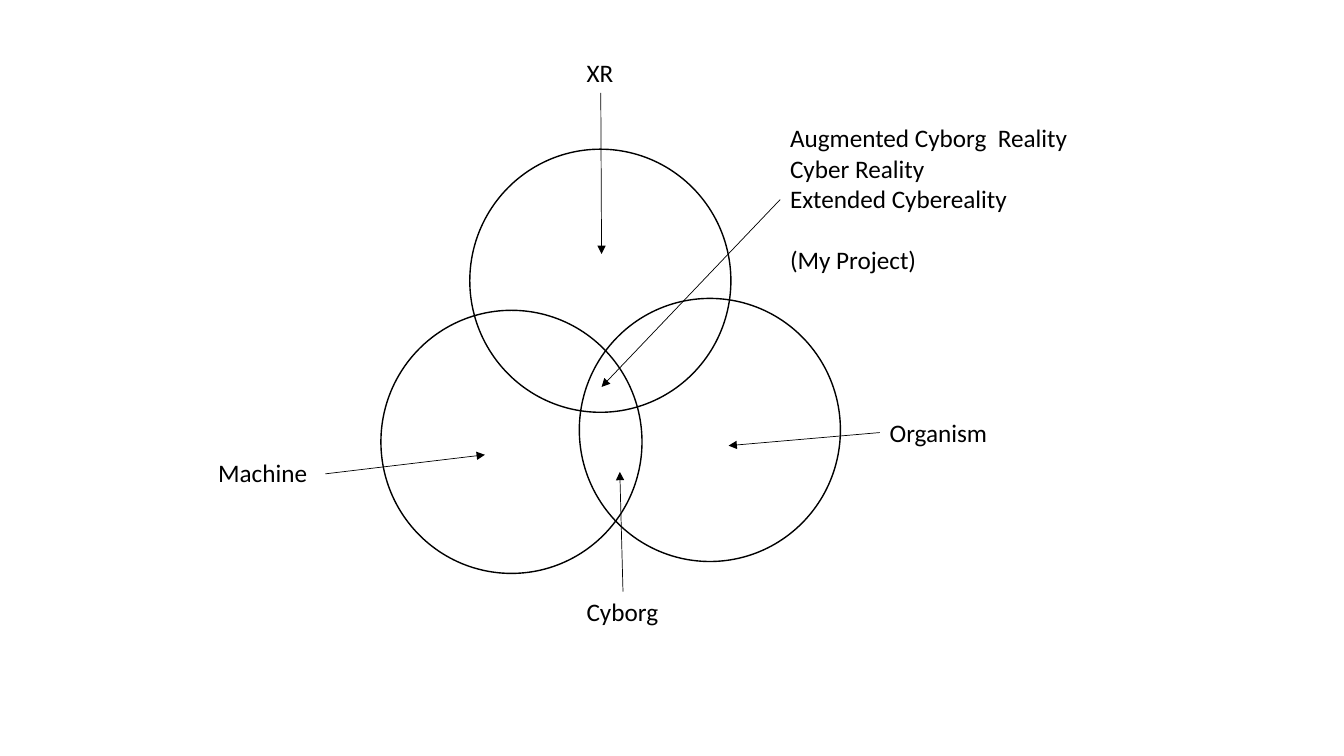
import pptx
import pptx.dml.color
import pptx.enum.shapes
import pptx.enum.text
import pptx.util
from lxml import etree
from pptx.oxml.ns import qn

Cm = pptx.util.Cm
Pt = pptx.util.Pt
ALIGN = pptx.enum.text.PP_ALIGN
BLACK = pptx.dml.color.RGBColor(0, 0, 0)

prs = pptx.Presentation()
prs.slide_width = Cm(33.87)
prs.slide_height = Cm(19.05)
s = prs.slides.add_slide(prs.slide_layouts[6])


def add_label(text, left, top, width, height=1.02, align=ALIGN.CENTER):
    sp = s.shapes.add_textbox(Cm(left), Cm(top), Cm(width), Cm(height))
    tf = sp.text_frame
    tf.word_wrap = True
    tf.auto_size = pptx.enum.text.MSO_AUTO_SIZE.SHAPE_TO_FIT_TEXT
    tf.text = text
    for p in tf.paragraphs:
        p.alignment = align
        for r in p.runs:
            r.font.name = "Calibri"
            r.font.size = Pt(18)
            r.font.color.rgb = BLACK
    return tf


# Overlapping circles: machine, organism, XR
for left, top in [(9.6, 7.82), (14.6, 7.52), (11.84, 3.76)]:
    sp = s.shapes.add_shape(pptx.enum.shapes.MSO_SHAPE.OVAL,
                            Cm(left), Cm(top), Cm(6.58), Cm(6.63))
    sp.shadow.inherit = False
    sp.fill.background()
    sp.line.color.rgb = BLACK
    sp.line.width = Pt(1)

# Labels
add_label("Machine", 5.03, 11.4, 3.18)
add_label("Organism", 22.17, 10.39, 4.19, align=ALIGN.LEFT)
add_label("XR", 14.22, 1.32, 1.8)
add_label("Cyborg", 14.4, 14.91, 2.57)
tf = add_label("Augmented Cyborg  Reality\nCyber Reality\nExtended Cybereality\n(My Project)",
               19.66, 2.97, 9.09, 4.11, ALIGN.LEFT)
tf.paragraphs[-1].space_before = Pt(22)

# Arrows from the labels into the circles
arrows = [
    (19.66, 5.03, 15.16, 9.75),    # project
    (15.7, 14.91, 15.62, 11.89),   # cyborg
    (22.17, 10.9, 18.36, 11.23),   # organism
    (8.2, 11.94, 12.22, 11.46),    # machine
    (15.14, 2.34, 15.16, 6.4),     # XR
]
for ends in arrows:
    sp = s.shapes.add_connector(pptx.enum.shapes.MSO_CONNECTOR.STRAIGHT,
                                *[Cm(v) for v in ends])
    sp.line.color.rgb = BLACK
    sp.line.width = Pt(0.5)
    etree.SubElement(sp.line._get_or_add_ln(), qn("a:tailEnd"), type="triangle")
    etree.SubElement(sp._element.spPr, qn("a:effectLst"))

prs.save("out.pptx")
